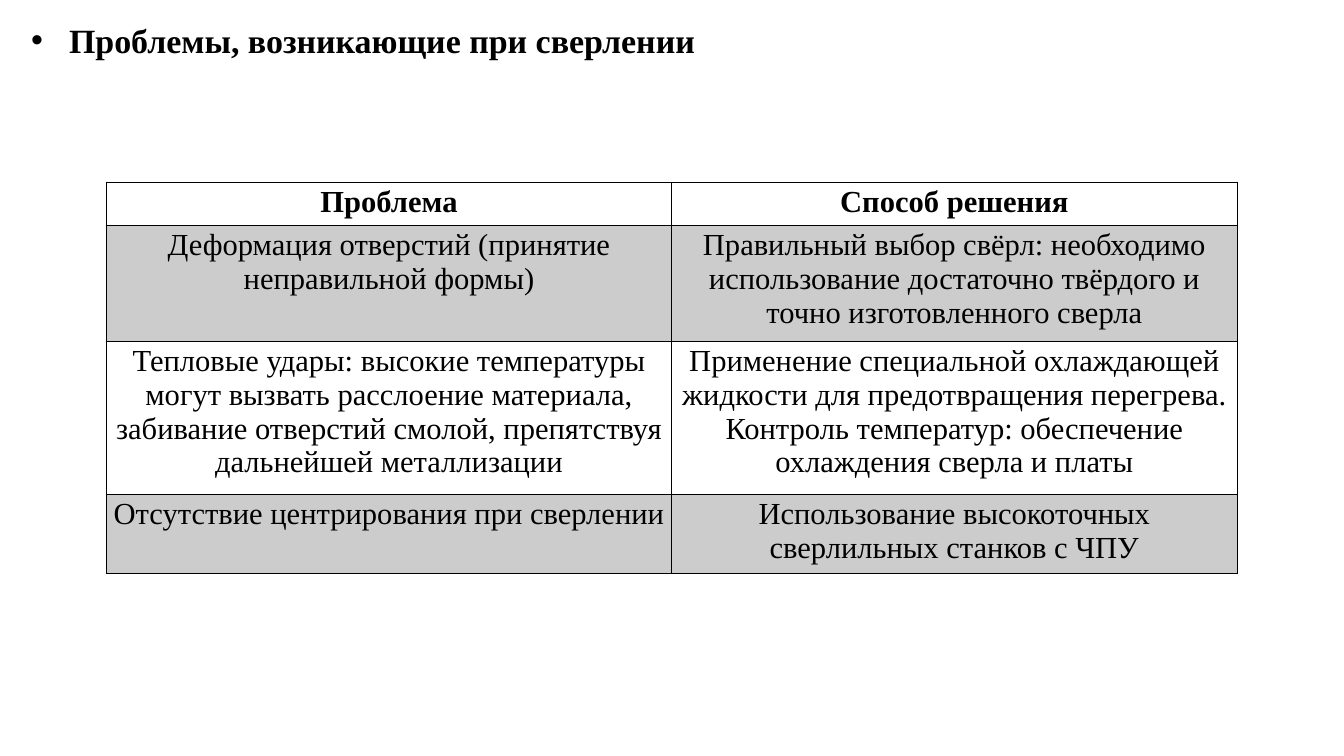
from lxml.etree import SubElement
from pptx import Presentation
from pptx.dml.color import RGBColor
from pptx.enum.text import MSO_ANCHOR, MSO_AUTO_SIZE, PP_ALIGN
from pptx.oxml.ns import qn
from pptx.util import Pt

ROWS = [
    (50.7, ["Проблема"], ["Способ решения"]),
    (136.7, ["Деформация отверстий (принятие неправильной формы)"],
     ["Правильный выбор свёрл: необходимо использование достаточно "
      "твёрдого и точно изготовленного сверла"]),
    (180.3, ["Тепловые удары: высокие температуры могут вызвать расслоение "
             "материала, забивание отверстий смолой, препятствуя дальнейшей "
             "металлизации"],
     ["Применение специальной охлаждающей жидкости для предотвращения "
      "перегрева.",
      "Контроль температур: обеспечение охлаждения сверла и платы"]),
    (93.1, ["Отсутствие центрирования при сверлении"],
     ["Использование высокоточных сверлильных станков с ЧПУ"]),
]


def color(value):
    """Turn a hex string into a colour."""
    return RGBColor.from_string(value)


class Deck:
    """Hold the style and the current slide."""

    font = "Times New Roman"
    ink = "000000"
    band = "CCCCCC"

    def __init__(self, prs):
        """Add a title-only slide."""
        self.s = prs.slides.add_slide(prs.slide_layouts[5])

    def add_text(self, p, text, **style):
        """Add a run in the deck's font."""
        r = p.add_run()
        r.text = text
        for name, value in {"name": self.font, **style}.items():
            setattr(r.font, name, value)
        r.font.color.rgb = color(self.ink)

    def title(self, text, left, top, width, height, indent):
        """Fill the title placeholder with a bulleted heading."""
        sp = self.s.shapes.title
        box = {"left": left, "top": top, "width": width, "height": height}
        for name, value in box.items():
            setattr(sp, name, Pt(value))
        tf = sp.text_frame
        frame = {"word_wrap": True, "auto_size": MSO_AUTO_SIZE.NONE,
                 "vertical_anchor": MSO_ANCHOR.TOP}
        for name, value in frame.items():
            setattr(tf, name, value)
        p = tf.paragraphs[0]
        pPr = p._p.get_or_add_pPr()
        pPr.set("marL", str(Pt(indent)))
        pPr.set("indent", str(-Pt(indent)))
        SubElement(pPr, qn("a:buFont"), typeface="Arial")
        SubElement(pPr, qn("a:buChar"), char="•")
        p.alignment = PP_ALIGN.JUSTIFY
        p.line_spacing = 1.25
        self.add_text(p, text, size=Pt(40), bold=True)

    def borders(self, cell):
        """Draw a thin line on all four sides of a cell."""
        tcPr = cell._tc.get_or_add_tcPr()
        for side in ("lnL", "lnR", "lnT", "lnB"):
            ln = SubElement(tcPr, qn(f"a:{side}"), w=str(Pt(1)))
            fill = SubElement(ln, qn("a:solidFill"))
            SubElement(fill, qn("a:srgbClr"), val=self.ink)

    def cell(self, cell, lines, header, banded):
        """Format one table cell and fill in its paragraphs."""
        self.borders(cell)
        if banded:
            cell.fill.solid()
            cell.fill.fore_color.rgb = color(self.band)
        else:
            cell.fill.background()
        tf = cell.text_frame
        for i, line in enumerate(lines):
            p = tf.add_paragraph() if i else tf.paragraphs[0]
            p.alignment = PP_ALIGN.CENTER
            self.add_text(p, line, size=Pt(36), bold=header)

    def table(self, rows, left, top, width):
        """Add a two-column table with every second row shaded."""
        height = sum(row[0] for row in rows)
        table = self.s.shapes.add_table(
            len(rows), 2, Pt(left), Pt(top), Pt(width), Pt(height)).table
        table.first_row = table.horz_banding = False
        for i, (row_height, *cells) in enumerate(rows):
            table.rows[i].height = Pt(row_height)
            for j, lines in enumerate(cells):
                self.cell(table.cell(i, j), lines, i == 0, i % 2 == 1)


def main():
    """Build and save the slide."""
    prs = Presentation()
    prs.slide_width, prs.slide_height = Pt(1583.3), Pt(890.6)
    deck = Deck(prs)
    deck.title("Проблемы, возникающие при сверлении", 29.5, 7.2, 1031.8, 106.6, 44.6)
    deck.table(ROWS, 125.3, 214.6, 1332)
    prs.save("out.pptx")


if __name__ == "__main__":
    main()
